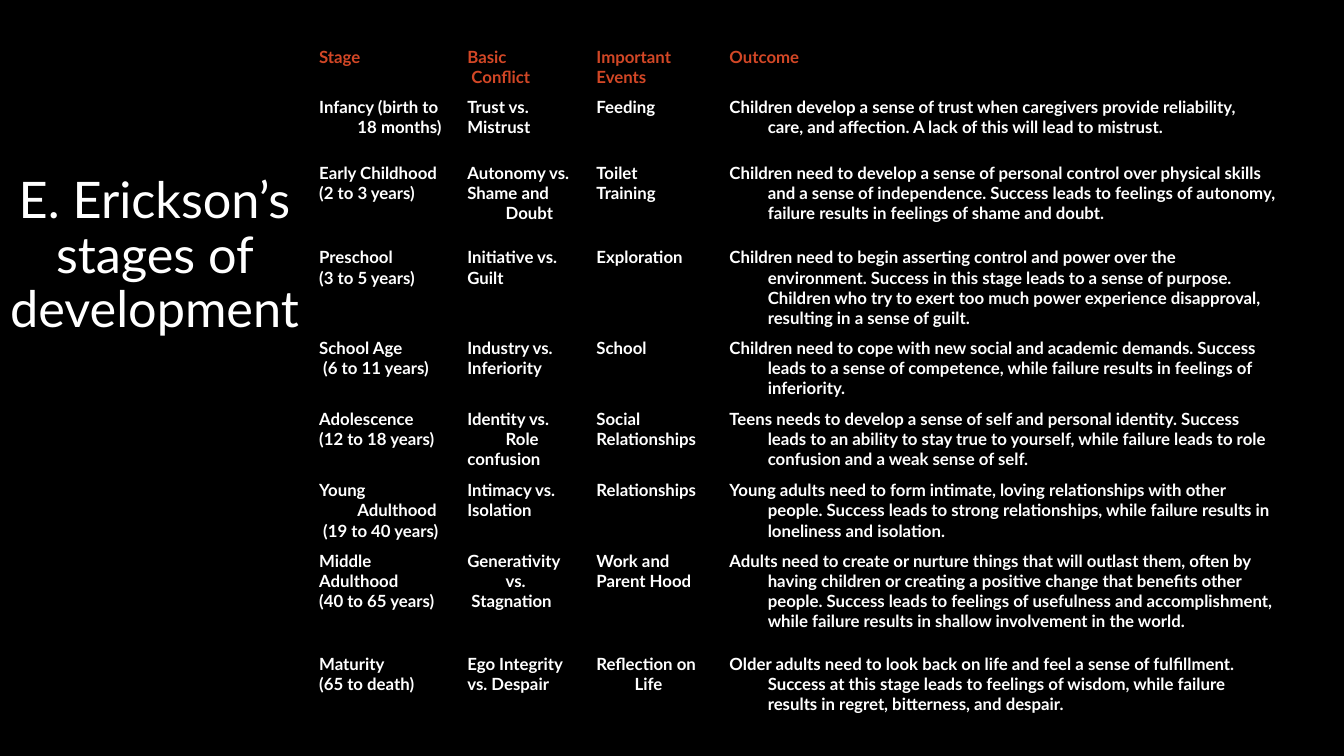
from lxml import etree
from pptx import Presentation
from pptx.dml.color import RGBColor
from pptx.enum.shapes import MSO_SHAPE
from pptx.enum.text import MSO_ANCHOR, PP_ALIGN
from pptx.oxml.ns import qn
from pptx.util import Inches, Pt

RECTANGLE = MSO_SHAPE.RECTANGLE
MIDDLE = MSO_ANCHOR.MIDDLE
CENTER = PP_ALIGN.CENTER

THEME = {
    "font": "Lato",
    "background": RGBColor(0x00, 0x00, 0x00),
    "header": RGBColor(0xD2, 0x47, 0x26),
    "text": RGBColor(0xFF, 0xFF, 0xFF),
    "title_size": Pt(36),
    "table_size": Pt(12),
    "border_width": Pt(0.75),
}
HANGING_INDENT = Inches(0.38)
COLUMN_WIDTHS = [1.47, 1.28, 1.32, 5.62]
ROW_HEIGHTS = [0.49, 0.65, 0.84, 0.84, 0.65, 0.71, 0.67, 1.02, 0.67]

STAGES = [
    ("Stage", "Basic\n Conflict", "Important\nEvents", "Outcome"),
    ("Infancy (birth to 18 months)", "Trust vs.\nMistrust", "Feeding",
     "Children develop a sense of trust when caregivers provide reliability, care, and affection. "
     "A lack of this will lead to mistrust."),
    ("Early Childhood\n(2 to 3 years)", "Autonomy vs.\nShame and Doubt", "Toilet\nTraining",
     "Children need to develop a sense of personal control over physical skills and a sense of "
     "independence. Success leads to feelings of autonomy, failure results in feelings of shame "
     "and doubt."),
    ("Preschool\n(3 to 5 years)", "Initiative vs.\nGuilt", "Exploration",
     "Children need to begin asserting control and power over the environment. Success in this "
     "stage leads to a sense of purpose. Children who try to exert too much power experience "
     "disapproval, resulting in a sense of guilt."),
    ("School Age\n (6 to 11 years)", "Industry vs.\nInferiority", "School",
     "Children need to cope with new social and academic demands. Success leads to a sense of "
     "competence, while failure results in feelings of inferiority."),
    ("Adolescence\n(12 to 18 years)", "Identity vs. Role\nconfusion", "Social\nRelationships",
     "Teens needs to develop a sense of self and personal identity. Success leads to an ability "
     "to stay true to yourself, while failure leads to role confusion and a weak sense of self."),
    ("Young Adulthood\n (19 to 40 years)", "Intimacy vs.\nIsolation", "Relationships",
     "Young adults need to form intimate, loving relationships with other people. Success leads "
     "to strong relationships, while failure results in loneliness and isolation."),
    ("Middle\nAdulthood\n(40 to 65 years)", "Generativity vs.\n Stagnation",
     "Work and\nParent Hood",
     "Adults need to create or nurture things that will outlast them, often by having children "
     "or creating a positive change that benefits other people. Success leads to feelings of "
     "usefulness and accomplishment, while failure results in shallow involvement in the world."),
    ("Maturity\n(65 to death)", "Ego Integrity\nvs. Despair", "Reflection on Life",
     "Older adults need to look back on life and feel a sense of fulfillment. Success at this "
     "stage leads to feelings of wisdom, while failure results in regret, bitterness, and despair."),
]


def format_runs(paragraph, size, color, bold):
    for run in paragraph.runs:
        run.font.name = THEME["font"]
        run.font.size = size
        run.font.bold = bold
        run.font.color.rgb = color


def fill_cell(cell):
    """Give the cell the background colour and borders of the same colour."""
    properties = cell._tc.get_or_add_tcPr()
    for side in ("lnL", "lnR", "lnT", "lnB"):
        line = etree.SubElement(properties, qn(f"a:{side}"), w=str(THEME["border_width"]))
        solid = etree.SubElement(line, qn("a:solidFill"))
        etree.SubElement(solid, qn("a:srgbClr"), val=str(THEME["background"]))
    cell.fill.solid()
    cell.fill.fore_color.rgb = THEME["background"]


presentation = Presentation()
presentation.slide_width = Inches(13.33)
presentation.slide_height = Inches(7.5)
width, height = presentation.slide_width, presentation.slide_height
slide = presentation.slides.add_slide(presentation.slide_layouts[6])

backdrop = slide.shapes.add_shape(RECTANGLE, 0, 0, width, height)
backdrop.shadow.inherit = False
backdrop.fill.solid()
backdrop.fill.fore_color.rgb = THEME["background"]
backdrop.line.fill.background()

# Stages table
title_width = int(width * 0.23)
table = slide.shapes.add_table(
    len(ROW_HEIGHTS), len(COLUMN_WIDTHS), title_width, int(height * 0.055),
    Inches(sum(COLUMN_WIDTHS)), Inches(sum(ROW_HEIGHTS))).table
table.first_row = False
table.horz_banding = False
for column, column_width in zip(table.columns, COLUMN_WIDTHS):
    column.width = Inches(column_width)

for row_index, (row, row_height) in enumerate(zip(table.rows, ROW_HEIGHTS)):
    row.height = Inches(row_height)
    color = THEME["header"] if row_index == 0 else THEME["text"]
    for cell, text in zip(row.cells, STAGES[row_index]):
        fill_cell(cell)
        cell.text_frame.text = text
        for paragraph in cell.text_frame.paragraphs:
            indents = paragraph._p.get_or_add_pPr()
            indents.set("marL", str(HANGING_INDENT))
            indents.set("indent", str(-HANGING_INDENT))
            format_runs(paragraph, THEME["table_size"], color, True)

# Title to the left of the table
title = slide.shapes.add_textbox(0, int(height * 0.16), title_width, int(height * 0.36))
title_frame = title.text_frame
title_frame.word_wrap = True
title_frame.vertical_anchor = MIDDLE
title_frame.margin_left = title_frame.margin_right = Inches(0.05)
title_frame.text = "E. Erickson’s stages of development"
title_paragraph = title_frame.paragraphs[0]
title_paragraph.alignment = CENTER
title_paragraph.line_spacing = 0.9
format_runs(title_paragraph, THEME["title_size"], THEME["text"], False)

presentation.save("out.pptx")
